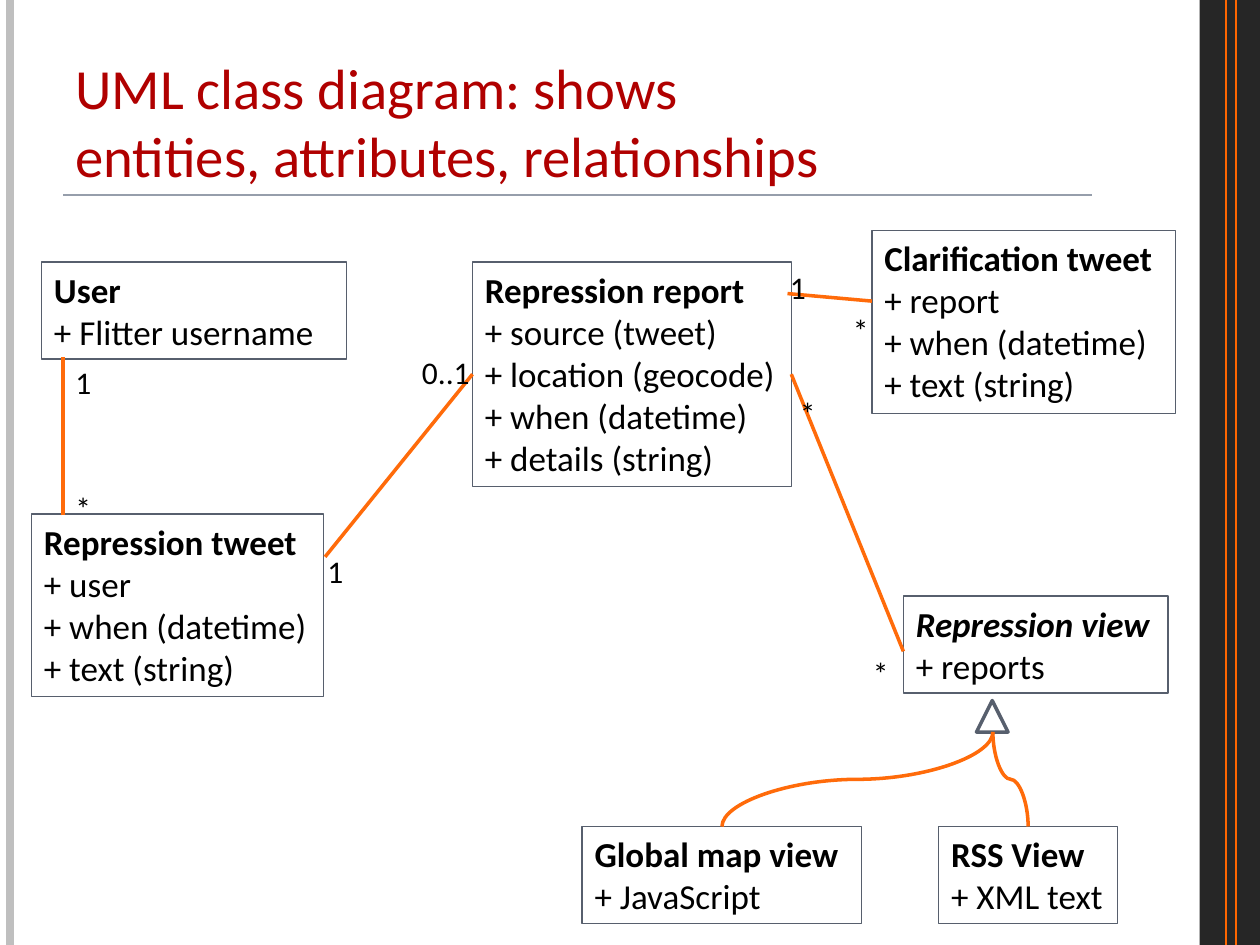
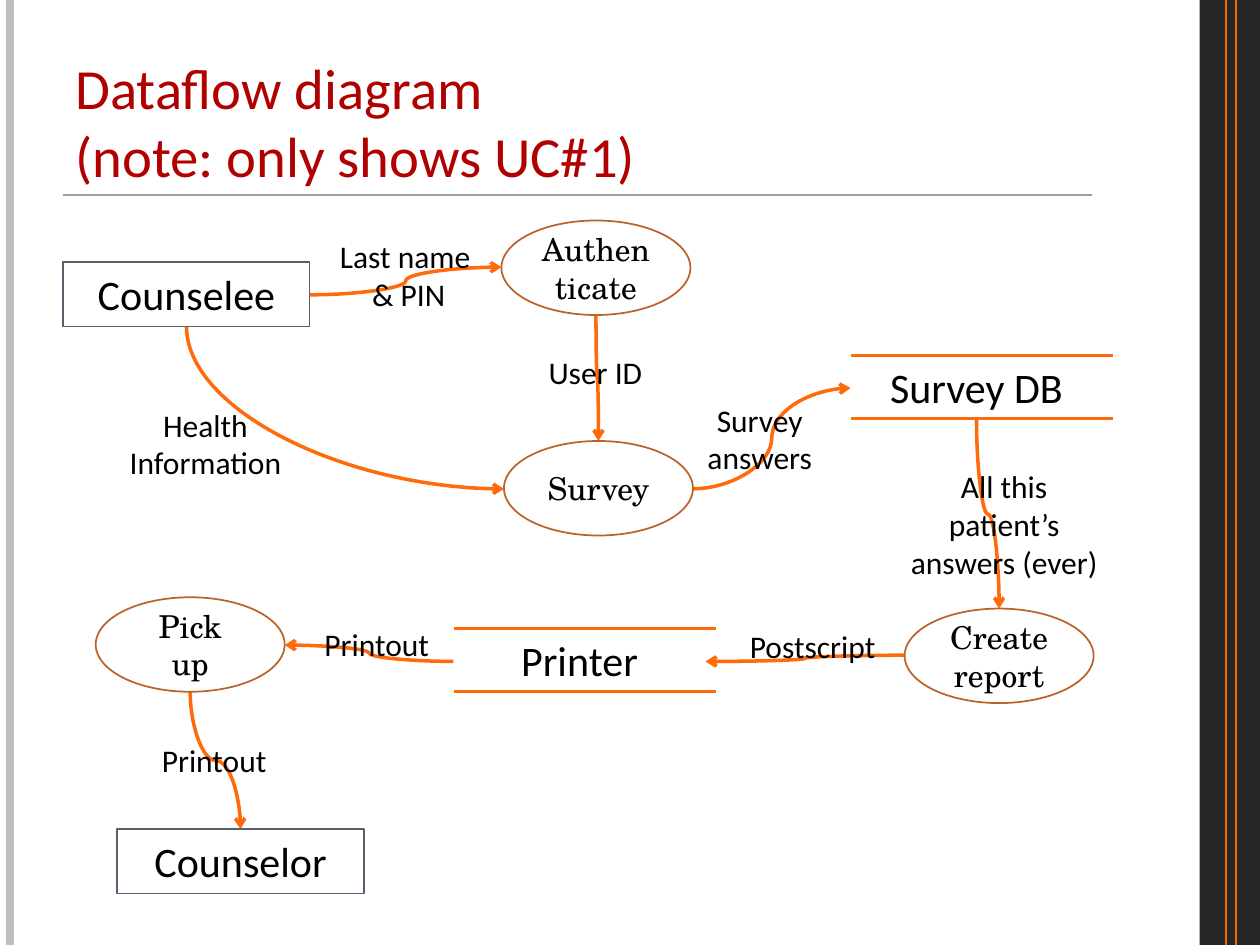
from dataclasses import dataclass

from lxml import etree
from pptx import Presentation
from pptx.dml.color import RGBColor
from pptx.enum import shapes, text
from pptx.oxml import ns
from pptx.util import Inches, Pt


@dataclass(frozen=True)
class Theme:
    sans: str = "Calibri"
    serif: str = "TeX Gyre Schola"
    title_size: float = 32.4
    node_size: float = 24
    class_size: float = 20
    label_size: float = 18
    title_color: str = "B00000"
    ink: str = "000000"
    paper: str = "FFFFFF"
    outline: str = "575F6D"
    process_outline: str = "BC6329"
    flow: str = "FF6B0A"
    band: str = "262626"
    band_stripe: str = "FF6600"
    left_edge: str = "BFBFBF"
    rule: str = "969EAB"


THEME = Theme()
LEFT, CENTER = text.PP_ALIGN.LEFT, text.PP_ALIGN.CENTER
TOP, MIDDLE, BOTTOM = (text.MSO_ANCHOR.TOP, text.MSO_ANCHOR.MIDDLE,
                       text.MSO_ANCHOR.BOTTOM)
FIT = text.MSO_AUTO_SIZE.SHAPE_TO_FIT_TEXT
FIXED = text.MSO_AUTO_SIZE.NONE
SHAPE = shapes.MSO_SHAPE
LEFT_SIDE, RIGHT_SIDE = 1, 3


def color(value):
    return RGBColor.from_string(value)


def set_attributes(target, values):
    for name, value in values.items():
        setattr(target, name, value)


def write(shape, content, size, font=THEME.sans, ink=THEME.ink, align=CENTER,
          bold_first=False, italic_first=False, **frame_format):
    """Fill a shape; each newline starts a paragraph, each \\v a line break."""
    frame = shape.text_frame
    frame.text = content
    set_attributes(frame, {"word_wrap": False, "auto_size": FIT,
                           "vertical_anchor": TOP, **frame_format})
    for index, paragraph in enumerate(frame.paragraphs):
        paragraph.alignment = align
        for run in paragraph.runs:
            set_attributes(run.font, {
                "name": font, "size": Pt(size),
                "bold": bold_first and index == 0,
                "italic": italic_first and index == 0})
            run.font.color.rgb = color(ink)


def add_block(parent, kind, box, fill=THEME.paper, outline=None, width=0.75):
    shape = parent.shapes.add_shape(kind, *map(Inches, box))
    shape.shadow.inherit = False
    shape.fill.solid()
    shape.fill.fore_color.rgb = color(fill)
    if outline:
        shape.line.color.rgb = color(outline)
        shape.line.width = Pt(width)
    else:
        shape.line.fill.background()
    return shape


def style_connector(connector, stroke, width, arrow=False):
    connector.line.color.rgb = color(stroke)
    connector.line.width = Pt(width)
    properties = connector._element.spPr
    if arrow:
        etree.SubElement(properties.find(ns.qn("a:ln")),
                         ns.qn("a:tailEnd"), type="arrow")
    etree.SubElement(properties, ns.qn("a:effectLst"))


def add_line(parent, start, end, stroke=THEME.flow, width=2):
    connector = parent.shapes.add_connector(
        shapes.MSO_CONNECTOR.STRAIGHT, *map(Inches, (*start, *end)))
    style_connector(connector, stroke, width)
    return connector


def add_curve(slide, start, end, vertical=False, quarter=False, arrow=True):
    """Draw a curve that leaves its start vertically or horizontally.

    A vertical curve is a horizontal one turned about its centre; a quarter
    curve bends once and so arrives at a right angle to its start.
    """
    (x1, y1), (x2, y2) = start, end
    corners = (x1, y1, x2, y2)
    if vertical:
        center_x, center_y = (x1 + x2) / 2, (y1 + y2) / 2
        half_x, half_y = abs(y2 - y1) / 2, abs(x2 - x1) / 2
        corners = (center_x - half_x, center_y - half_y,
                   center_x + half_x, center_y + half_y)
    connector = slide.shapes.add_connector(
        shapes.MSO_CONNECTOR.CURVE, *map(Inches, corners))
    properties = connector._element.spPr
    if vertical:
        properties.xfrm.rot = 90.0 if y2 > y1 else 270.0
        properties.xfrm.flipV = (x2 > x1) == (y2 > y1)
    if quarter:
        properties.find(ns.qn("a:prstGeom")).set("prst", "curvedConnector2")
    style_connector(connector, THEME.flow, 2, arrow)


def add_label(slide, content, box, align=CENTER):
    label = slide.shapes.add_textbox(*map(Inches, box))
    write(label, content, THEME.label_size, align=align)


def add_multiplicity(slide, content, left, top, width=0.33):
    add_label(slide, content, (left, top, width, 0.4), LEFT)


def add_class(slide, name, attributes, box, abstract=False):
    shape = add_block(slide, SHAPE.RECTANGLE, box, outline=THEME.outline)
    lines = [name] + [f"+ {attribute}" for attribute in attributes]
    write(shape, "\n".join(lines), THEME.class_size, align=LEFT,
          bold_first=True, italic_first=abstract)
    return shape


def add_entity(slide, name, left, top):
    shape = add_block(slide, SHAPE.RECTANGLE, (left, top, 1.96, 0.51),
                      outline=THEME.outline)
    write(shape, name, THEME.node_size, auto_size=FIXED)


def add_process(slide, name, left, top):
    shape = add_block(slide, SHAPE.OVAL, (left, top, 1.5, 0.75),
                      outline=THEME.process_outline, width=1)
    write(shape, name, THEME.label_size, font=THEME.serif, word_wrap=True,
          auto_size=FIXED, vertical_anchor=MIDDLE)


def add_data_store(slide, name, left, top):
    store = slide.shapes.add_group_shape()
    shape = add_block(store, SHAPE.RECTANGLE, (left, top, 2, 0.51))
    write(shape, name, THEME.node_size, word_wrap=True)
    for y in (top, top + 0.5):
        add_line(store, (left, y), (left + 2.08, y))


def add_titled_slide(presentation, title):
    slide = presentation.slides.add_slide(presentation.slide_layouts[6])
    add_block(slide, SHAPE.RECTANGLE, (9.52, 0, 0.48, 7.5), fill=THEME.band)
    for x, stroke, width in ((0.08, THEME.left_edge, 4.5),
                             (9.73, THEME.band_stripe, 0.75),
                             (9.81, THEME.band_stripe, 0.75)):
        add_line(slide, (x, 0), (x, 7.5), stroke, width)
    add_line(slide, (0.5, 1.55), (8.67, 1.55), THEME.rule, 1)
    heading = slide.shapes.add_textbox(*map(Inches, (0.5, 0.3, 8.17, 1.25)))
    write(heading, title, THEME.title_size, ink=THEME.title_color, align=LEFT,
          word_wrap=True, auto_size=FIXED, vertical_anchor=BOTTOM)
    return slide


def build_class_diagram(presentation):
    slide = add_titled_slide(
        presentation,
        "UML class diagram: shows\ventities, attributes, relationships")
    add_class(slide, "User", ["Flitter username"], (0.33, 2.08, 2.42, 0.77))
    report = add_class(
        slide, "Repression report",
        ["source (tweet)", "location (geocode)", "when (datetime)",
         "details (string)"], (3.75, 2.08, 2.53, 1.78))
    add_class(slide, "Repression view", ["reports"], (7.17, 4.73, 2.1, 0.77),
              abstract=True)
    add_class(slide, "Global map view", ["JavaScript"],
              (4.62, 6.56, 2.22, 0.77))
    add_class(slide, "RSS View", ["XML text"], (7.45, 6.56, 1.42, 0.77))
    add_class(slide, "Repression tweet",
              ["user", "when (datetime)", "text (string)"],
              (0.25, 4.08, 2.32, 1.45))
    add_class(slide, "Clarification tweet",
              ["report", "when (datetime)", "text (string)"],
              (6.92, 1.83, 2.41, 1.45))

    add_line(slide, (6.92, 2.39), (6.25, 2.33))
    add_line(slide, (0.5, 4.09), (0.5, 2.83))
    report_to_view = add_line(slide, (6.28, 2.97), (7.17, 5.17))
    report_to_view.begin_connect(report, RIGHT_SIDE)
    report_to_tweet = add_line(slide, (3.75, 2.97), (2.58, 4.42))
    report_to_tweet.begin_connect(report, LEFT_SIDE)

    add_block(slide, SHAPE.ISOSCELES_TRIANGLE, (7.75, 5.56, 0.25, 0.25),
              outline=THEME.outline, width=2)
    for subclass_x in (5.73, 8.16):
        add_curve(slide, (subclass_x, 6.56), (7.88, 5.81), vertical=True,
                  arrow=False)

    for content, left, top in (("1", 6.17, 2.08), ("*", 6.67, 2.42),
                               ("*", 6.25, 3.08), ("*", 6.83, 5.14),
                               ("1", 0.5, 2.83), ("*", 0.5, 3.83),
                               ("1", 2.5, 4.33)):
        add_multiplicity(slide, content, left, top)
    add_multiplicity(slide, "0..1", 3.25, 2.75, width=0.58)


def build_dataflow_diagram(presentation):
    slide = add_titled_slide(
        presentation, "Dataflow diagram\v(note: only shows UC#1)")
    for start, end in (((5.5, 3.88), (6.75, 3.08)),
                       ((7.18, 5.2), (5.6, 5.25)),
                       ((3.6, 5.25), (2.26, 5.12)),
                       ((2.46, 2.34), (3.98, 2.12))):
        add_curve(slide, start, end)
    for start, end in (((7.75, 3.33), (7.93, 4.83)),
                       ((1.51, 5.49), (1.91, 6.58)),
                       ((4.73, 2.5), (4.75, 3.5))):
        add_curve(slide, start, end, vertical=True)
    add_curve(slide, (1.48, 2.59), (4, 3.88), vertical=True, quarter=True)

    add_data_store(slide, "Survey DB", 6.75, 2.82)
    add_data_store(slide, "Printer", 3.6, 4.99)
    add_entity(slide, "Counselee", 0.5, 2.08)
    add_entity(slide, "Counselor", 0.93, 6.58)
    for name, left, top in (("Authenticate", 3.98, 1.75),
                            ("Survey", 4, 3.5),
                            ("Create report", 7.18, 4.83),
                            ("Pick up", 0.76, 4.74)):
        add_process(slide, name, left, top)
    for content, box in (
            ("Last name\v & PIN", (2.59, 1.83, 1.25, 0.71)),
            ("User ID", (4.25, 2.75, 0.95, 0.4)),
            ("Health\vInformation", (0.92, 3.17, 1.42, 0.71)),
            ("Survey\vanswers", (5.51, 3.13, 1.04, 0.71)),
            ("All this\vpatient’s\vanswers (ever)", (7.12, 3.66, 1.7, 1.01)),
            ("Postscript", (5.85, 4.93, 1.2, 0.4)),
            ("Printout", (2.47, 4.91, 1.04, 0.4)),
            ("Printout", (1.18, 5.83, 1.04, 0.4))):
        add_label(slide, content, box)


def main():
    presentation = Presentation()
    presentation.slide_width = Inches(10)
    presentation.slide_height = Inches(7.5)
    build_class_diagram(presentation)
    build_dataflow_diagram(presentation)
    presentation.save("out.pptx")


if __name__ == "__main__":
    main()
